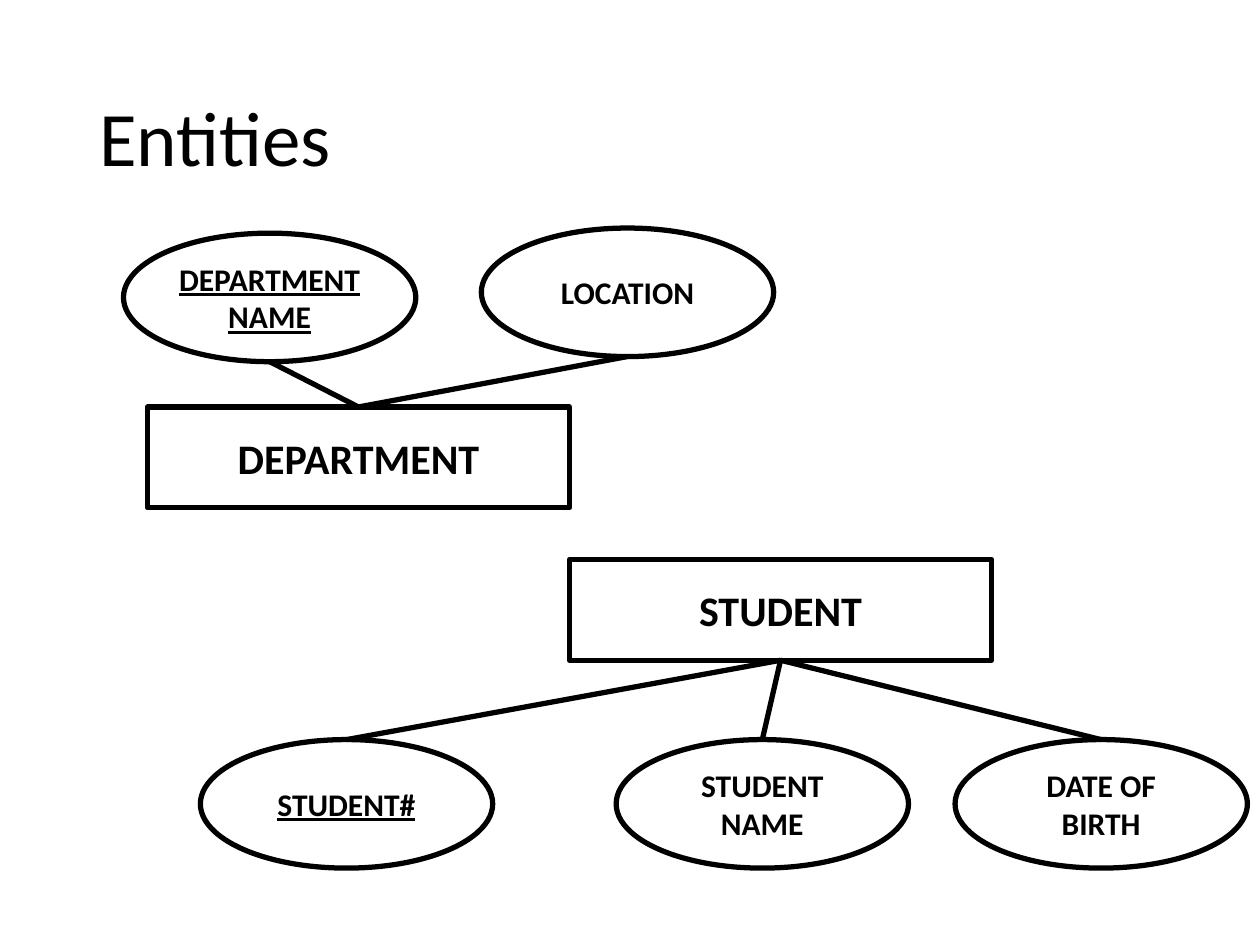
"""Draw two entities of an ER diagram with their attributes."""
from dataclasses import dataclass

from lxml import etree
from pptx import Presentation
from pptx.dml.color import RGBColor
from pptx.enum.shapes import MSO_CONNECTOR, MSO_SHAPE
from pptx.enum.text import MSO_ANCHOR, PP_ALIGN
from pptx.oxml.ns import qn
from pptx.shapes.autoshape import Shape
from pptx.slide import Slide
from pptx.util import Inches, Pt

RECT, OVAL = MSO_SHAPE.RECTANGLE, MSO_SHAPE.OVAL
LINE = MSO_CONNECTOR.STRAIGHT
MID = MSO_ANCHOR.MIDDLE
LEFT, CENTER = PP_ALIGN.LEFT, PP_ALIGN.CENTER
WIDE, HIGH = Inches(10), Inches(7.5)


@dataclass(frozen=True)
class Theme:
    font: str = "Calibri"
    ink: RGBColor = RGBColor(0, 0, 0)
    paper: RGBColor = RGBColor(255, 255, 255)
    title: int = 44
    entity: int = 24
    field: int = 18
    line: int = 3


@dataclass(frozen=True)
class Field:
    name: str
    left: float
    top: float
    key: bool = False


@dataclass(frozen=True)
class Entity:
    name: str
    left: float
    top: float
    fields: tuple[Field, ...]


THEME = Theme()
TITLE = (6.9, 5.33, 86.2, 19.33)
BOX = (33.5, 10.67)
RING = (23.2, 13.6)
ROW = 78.27
ENTITIES = (
    Entity("DEPARTMENT", 11.7, 43.07, (
        Field("DEPARTMENT NAME", 9.8, 24.67, key=True),
        Field("LOCATION", 38.2, 24.13),
    )),
    Entity("STUDENT", 45.2, 59.2, (
        Field("STUDENT#", 15.9, ROW, key=True),
        Field("STUDENT NAME", 48.9, ROW),
        Field("DATE OF BIRTH", 75.8, ROW),
    )),
)


def place(left: float, top: float, width: float, height: float) -> tuple[int, ...]:
    """Turn percentages of the slide into lengths."""
    return (round(WIDE * left / 100), round(HIGH * top / 100),
            round(WIDE * width / 100), round(HIGH * height / 100))


def write(shape: Shape, text: str, size: int, align: PP_ALIGN = CENTER,
          bold: bool = True, under: bool = False) -> None:
    """Set and format the one paragraph of a shape."""
    frame = shape.text_frame
    frame.text = text
    frame.word_wrap = True
    frame.vertical_anchor = MID
    para = frame.paragraphs[0]
    para.alignment = align
    font = para.runs[0].font
    font.name, font.size = THEME.font, Pt(size)
    font.bold, font.underline = bold, under
    font.color.rgb = THEME.ink


def outline(slide: Slide, kind: MSO_SHAPE, left: float, top: float,
            size: tuple[float, float]) -> Shape:
    """Add an unfilled shape with the theme line."""
    shape = slide.shapes.add_shape(kind, *place(left, top, *size))
    shape.shadow.inherit = False
    shape.fill.background()
    shape.line.color.rgb = THEME.ink
    shape.line.width = Pt(THEME.line)
    return shape


def link(slide: Slide, box: Shape, ring: Shape) -> None:
    """Join the facing edges of an entity and its attribute."""
    above = ring.top < box.top
    start = box.top if above else box.top + box.height
    end = ring.top + ring.height if above else ring.top
    line = slide.shapes.add_connector(
        LINE, box.left + box.width // 2, start,
        ring.left + ring.width // 2, end)
    line.line.color.rgb = THEME.ink
    line.line.width = Pt(THEME.line)
    etree.SubElement(line._element.spPr, qn("a:effectLst"))


def draw(slide: Slide, entity: Entity) -> None:
    """Draw an entity with its linked attributes."""
    box = outline(slide, RECT, entity.left, entity.top, BOX)
    write(box, entity.name, THEME.entity)
    for field in entity.fields:
        ring = outline(slide, OVAL, field.left, field.top, RING)
        ring.fill.solid()
        ring.fill.fore_color.rgb = THEME.paper
        write(ring, field.name, THEME.field, under=field.key)
        link(slide, box, ring)


def main() -> None:
    """Build and save the slide."""
    deck = Presentation()
    deck.slide_width, deck.slide_height = WIDE, HIGH
    slide = deck.slides.add_slide(deck.slide_layouts[6])
    title = slide.shapes.add_textbox(*place(*TITLE))
    write(title, "Entities", THEME.title, LEFT, bold=False)
    title.text_frame.paragraphs[0].line_spacing = 0.9
    for entity in ENTITIES:
        draw(slide, entity)
    deck.save("out.pptx")


if __name__ == "__main__":
    main()
